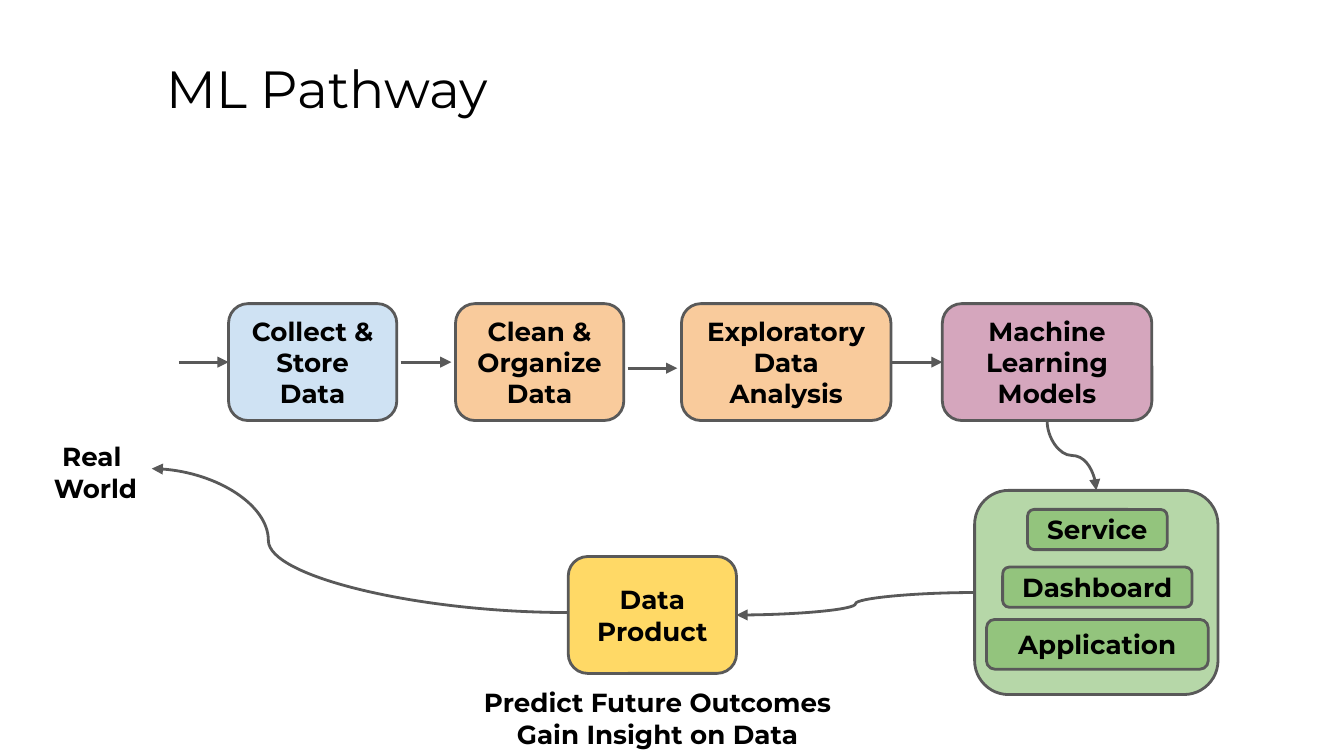
from dataclasses import dataclass

from lxml import etree
from pptx import Presentation
from pptx.dml.color import RGBColor
from pptx.enum.shapes import MSO_CONNECTOR, MSO_SHAPE
from pptx.enum.text import MSO_ANCHOR, PP_ALIGN
from pptx.oxml.ns import qn
from pptx.shapes.autoshape import Shape
from pptx.shapes.connector import Connector
from pptx.slide import Slide
from pptx.util import Cm, Pt

ROUNDED = MSO_SHAPE.ROUNDED_RECTANGLE
STRAIGHT, CURVE = MSO_CONNECTOR.STRAIGHT, MSO_CONNECTOR.CURVE
LEFT, CENTER = PP_ALIGN.LEFT, PP_ALIGN.CENTER
TOP, MIDDLE = MSO_ANCHOR.TOP, MSO_ANCHOR.MIDDLE
SIDE_TOP, SIDE_LEFT, SIDE_BOTTOM, SIDE_RIGHT = range(4)

FONT = "Montserrat"
BLACK, GRAY = "000000", "595959"
BLUE, ORANGE, PINK = "CFE2F3", "F9CB9C", "D5A6BD"
YELLOW, LIGHT_GREEN, GREEN = "FFD966", "B6D7A8", "93C47D"
LINE_WIDTH = Pt(1.5)
INSET = Cm(0.25)

# Shared measures in centimetres
STEP_TOP, STEP_HEIGHT = 5.74, 2.21
STEP_MIDDLE = STEP_TOP + STEP_HEIGHT / 2
NARROW, WIDE = 3.18, 3.96
OUTPUT_CENTER = 20.74


@dataclass(frozen=True)
class Box:
    text: str
    left: float
    top: float
    width: float
    height: float
    fill: str


def color(value: str) -> RGBColor:
    return RGBColor.from_string(value)


def write_text(shape: Shape, text: str, *, size: float = 14, bold: bool = True,
               align: PP_ALIGN = CENTER, anchor: MSO_ANCHOR = MIDDLE) -> None:
    frame = shape.text_frame
    frame.word_wrap = True
    frame.vertical_anchor = anchor
    frame.margin_left = frame.margin_right = INSET
    frame.margin_top = frame.margin_bottom = INSET
    frame.text = text
    for paragraph in frame.paragraphs:
        paragraph.alignment = align
        for run in paragraph.runs:
            run.font.name = FONT
            run.font.size = Pt(size)
            run.font.bold = bold
            run.font.color.rgb = color(BLACK)


def add_label(slide: Slide, text: str, left: float, top: float, width: float,
              height: float, **text_format) -> None:
    label = slide.shapes.add_textbox(Cm(left), Cm(top), Cm(width), Cm(height))
    write_text(label, text, anchor=TOP, **text_format)


def add_box(slide: Slide, box: Box) -> Shape:
    shape = slide.shapes.add_shape(
        ROUNDED, Cm(box.left), Cm(box.top), Cm(box.width), Cm(box.height))
    shape.shadow.inherit = False
    shape.fill.solid()
    shape.fill.fore_color.rgb = color(box.fill)
    shape.line.color.rgb = color(GRAY)
    shape.line.width = LINE_WIDTH
    if box.text:
        write_text(shape, box.text)
    return shape


def add_arrow(slide: Slide, kind: MSO_CONNECTOR, start: tuple[float, float],
              end: tuple[float, float]) -> Connector:
    connector = slide.shapes.add_connector(
        kind, Cm(start[0]), Cm(start[1]), Cm(end[0]), Cm(end[1]))
    connector.line.color.rgb = color(GRAY)
    connector.line.width = LINE_WIDTH
    line = connector.line._get_or_add_ln()
    etree.SubElement(line, qn("a:tailEnd"), type="triangle")
    etree.SubElement(connector.element.spPr, qn("a:effectLst"))
    return connector


def set_bend(connector: Connector, share: float) -> None:
    """Place the bend of a curve at a share of its length."""
    geometry = connector.element.spPr.find(qn("a:prstGeom"))
    values = geometry.find(qn("a:avLst"))
    if values is None:
        values = etree.SubElement(geometry, qn("a:avLst"))
    etree.SubElement(values, qn("a:gd"), name="adj1",
                     fmla=f"val {round(share * 100000)}")


def turn_downward(connector: Connector) -> None:
    """Make a curve that runs down and right leave its start vertically."""
    width, height = connector.width, connector.height
    connector.left += (width - height) // 2
    connector.top += (height - width) // 2
    connector.width, connector.height = height, width
    transform = connector.element.spPr.find(qn("a:xfrm"))
    transform.set("rot", str(270 * 60000))
    transform.set("flipH", "1")


def main() -> None:
    presentation = Presentation()
    presentation.slide_width, presentation.slide_height = Cm(25.4), Cm(14.29)
    slide = presentation.slides.add_slide(presentation.slide_layouts[6])

    # Title and labels
    add_label(slide, "ML Pathway", 2.9, 0.81, 21.64, 1.6,
              size=28, bold=False, align=LEFT)
    add_label(slide, "Real \nWorld", 0.66, 8.08, 2.29, 0.76)
    add_label(slide, "Predict Future Outcomes\nGain Insight on Data",
              8.53, 12.73, 7.8, 0.76)

    # Steps from data to models
    steps = [
        ("Collect & Store\nData", 4.32, NARROW, BLUE),
        ("Clean & Organize\nData", 8.61, NARROW, ORANGE),
        ("Exploratory Data Analysis", 12.88, WIDE, ORANGE),
        ("Machine Learning\nModels", 17.81, WIDE, PINK),
    ]
    collect, _, explore, models = [
        add_box(slide, Box(text, left, STEP_TOP, width, STEP_HEIGHT, fill))
        for text, left, width, fill in steps]

    # Outputs of the models and the data product
    outputs = add_box(slide, Box("", 18.42, 9.27, 4.6, 3.86, LIGHT_GREEN))
    for text, top, width, height in [("Service", 9.63, 2.64, 0.76),
                                     ("Dashboard", 10.72, 3.58, 0.76),
                                     ("Application", 11.71, 4.19, 0.94)]:
        add_box(slide, Box(text, OUTPUT_CENTER - width / 2, top, width, height, GREEN))
    product = add_box(slide, Box("Data\nProduct", 10.74, 10.52, NARROW,
                                 STEP_HEIGHT, YELLOW))

    # Straight arrows between the steps
    entry = add_arrow(slide, STRAIGHT, (3.38, STEP_MIDDLE), (4.32, STEP_MIDDLE))
    entry.end_connect(collect, SIDE_LEFT)
    add_arrow(slide, STRAIGHT, (7.57, STEP_MIDDLE), (8.53, STEP_MIDDLE))
    add_arrow(slide, STRAIGHT, (11.86, 6.96), (12.8, 6.96))
    modelling = add_arrow(slide, STRAIGHT, (16.84, STEP_MIDDLE), (17.81, STEP_MIDDLE))
    modelling.begin_connect(explore, SIDE_RIGHT)
    modelling.end_connect(models, SIDE_LEFT)

    # Curves back to the real world
    release = add_arrow(slide, CURVE, (19.79, 7.95), (20.72, 9.27))
    release.begin_connect(models, SIDE_BOTTOM)
    release.end_connect(outputs, SIDE_TOP)
    turn_downward(release)
    delivery = add_arrow(slide, CURVE, (18.42, 11.2), (13.92, 11.63))
    delivery.begin_connect(outputs, SIDE_LEFT)
    delivery.end_connect(product, SIDE_RIGHT)
    feedback = add_arrow(slide, CURVE, (10.74, 11.58), (2.87, 8.86))
    set_bend(feedback, 0.72)

    presentation.save("out.pptx")


if __name__ == "__main__":
    main()
